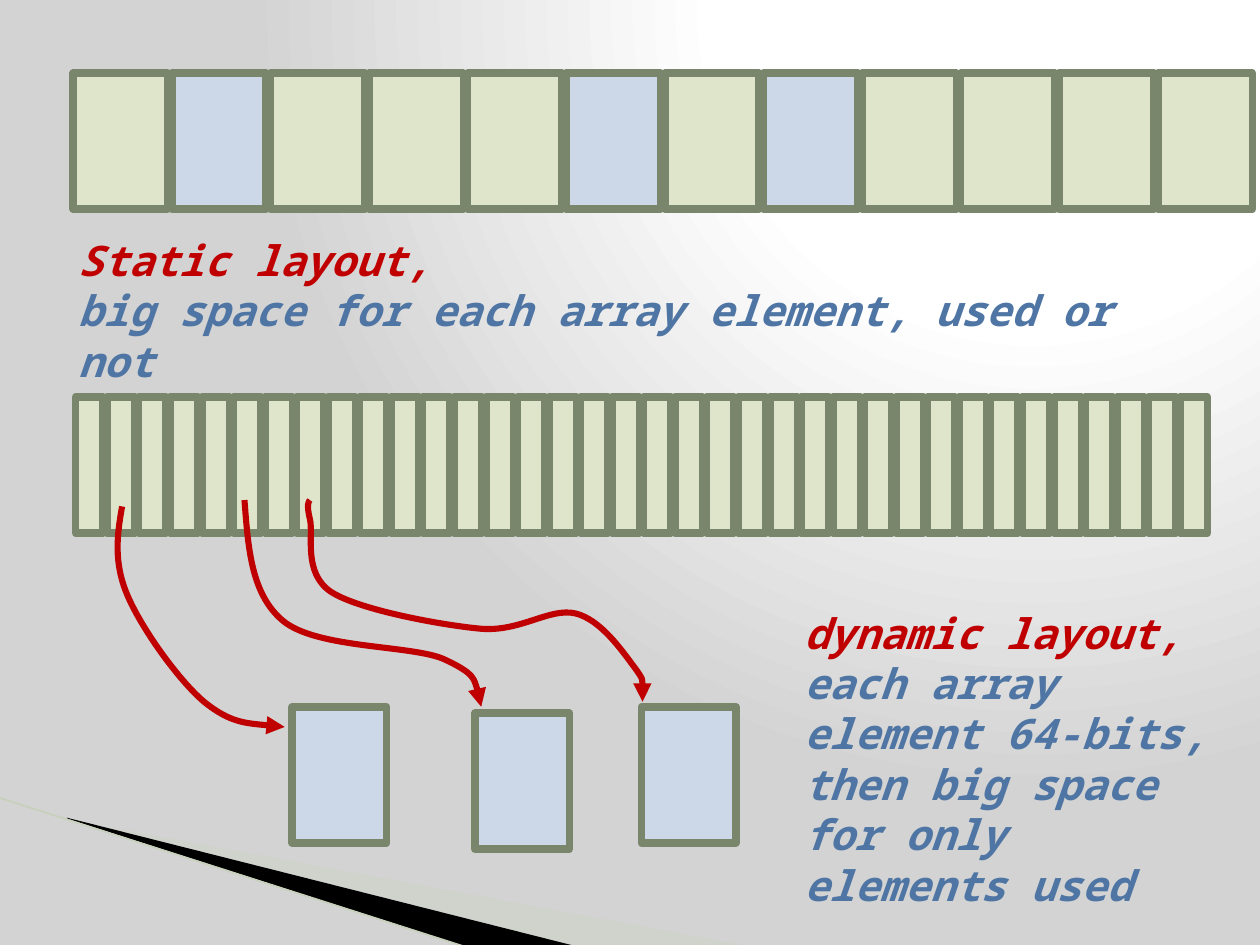
from dataclasses import dataclass

from pptx import Presentation
from pptx.dml.color import RGBColor
from pptx.enum.shapes import MSO_CONNECTOR, MSO_SHAPE
from pptx.enum.text import MSO_AUTO_SIZE
from pptx.oxml import parse_xml
from pptx.oxml.ns import nsdecls
from pptx.oxml.xmlchemy import OxmlElement
from pptx.util import Pt

RECTANGLE = MSO_SHAPE.RECTANGLE
STRAIGHT = MSO_CONNECTOR.STRAIGHT
FIT_SHAPE = MSO_AUTO_SIZE.SHAPE_TO_FIT_TEXT
BLANK_LAYOUT = 6


@dataclass(frozen=True)
class Theme:
    font: str = "Noto Sans Mono"
    text_size: float = 24
    red: str = "C00000"
    blue: str = "4E75A3"
    empty: str = "DFE5CA"
    used: str = "CCD8E7"
    border: str = "7A866C"
    wedge: str = "CBD4C0"
    black: str = "000000"
    edge: str = "C6D0BB"
    light: str = "FFFFFF"
    shade: str = "D3D3D3"
    border_width: float = 4.33
    arrow_width: float = 3.5
    edge_width: float = 0.95


class Painter:
    def __init__(self, page, theme):
        self.page = page
        self.shapes = page.shapes
        self.theme = theme

    def background(self):
        stops = [(0, self.theme.light), (40, self.theme.light), (100, self.theme.shade)]
        stop_xml = "".join(
            f'<a:gs pos="{place * 1000}"><a:srgbClr val="{color}"/></a:gs>'
            for place, color in stops)
        self.page.element.cSld.insert(0, parse_xml(
            f'<p:bg {nsdecls("p", "a")}><p:bgPr><a:gradFill><a:gsLst>{stop_xml}</a:gsLst>'
            '<a:path path="circle"><a:fillToRect l="65000" t="0" r="0" b="98000"/></a:path>'
            '</a:gradFill><a:effectLst/></p:bgPr></p:bg>'))

    def stroke(self, line, color, width):
        line.color.rgb = RGBColor.from_string(color)
        line.width = Pt(width)

    def fill(self, shape, color):
        shape.fill.solid()
        shape.fill.fore_color.rgb = RGBColor.from_string(color)

    def cell(self, left, top, width, height, color):
        cell = self.shapes.add_shape(RECTANGLE, Pt(left), Pt(top), Pt(width), Pt(height))
        cell.shadow.inherit = False
        self.fill(cell, color)
        self.stroke(cell.line, self.theme.border, self.theme.border_width)

    def outline(self, points, close):
        start, *rest = [(Pt(x), Pt(y)) for x, y in points]
        builder = self.shapes.build_freeform(*start)
        builder.add_line_segments(rest, close=close)
        shape = builder.convert_to_shape()
        shape.shadow.inherit = False
        return shape

    def polygon(self, points, color, alpha=None):
        shape = self.outline(points, close=True)
        self.fill(shape, color)
        shape.line.fill.background()
        if alpha is not None:
            opacity = OxmlElement("a:alpha")
            opacity.set("val", str(alpha * 1000))
            shape.element.xpath("./p:spPr/a:solidFill/a:srgbClr")[0].append(opacity)

    def curved_arrow(self, points):
        """Draw cubic curves: a start point, then three points per curve."""
        shape = self.outline(points, close=False)
        shape.fill.background()
        self.stroke(shape.line, self.theme.red, self.theme.arrow_width)
        head = OxmlElement("a:tailEnd")
        head.set("type", "triangle")
        shape.element.xpath("./p:spPr/a:ln")[0].append(head)
        # Join each three line segments into one curve
        route = shape.element.xpath(".//a:path")[0]
        segments = route.xpath("./a:lnTo")
        for first in range(0, len(segments), 3):
            curve = OxmlElement("a:cubicBezTo")
            for segment in segments[first:first + 3]:
                curve.append(segment[0])
                route.remove(segment)
            route.append(curve)

    def line(self, x1, y1, x2, y2, color, width):
        line = self.shapes.add_connector(STRAIGHT, Pt(x1), Pt(y1), Pt(x2), Pt(y2))
        self.stroke(line.line, color, width)
        line.element.spPr.append(OxmlElement("a:effectLst"))

    def text(self, left, top, width, height, paragraphs):
        box = self.shapes.add_textbox(Pt(left), Pt(top), Pt(width), Pt(height))
        frame = box.text_frame
        frame.word_wrap = True
        frame.auto_size = FIT_SHAPE
        for index, spans in enumerate(paragraphs):
            para = frame.add_paragraph() if index else frame.paragraphs[0]
            para.font.name = self.theme.font
            para.font.size = Pt(self.theme.text_size)
            para.font.bold = para.font.italic = True
            for words, color in spans:
                span = para.add_run()
                span.text = words
                span.font.color.rgb = RGBColor.from_string(color)


theme = Theme()
deck = Presentation()
deck.slide_width, deck.slide_height = Pt(720), Pt(540)
painter = Painter(deck.slides.add_slide(deck.slide_layouts[BLANK_LAYOUT]), theme)

# Background and corner decoration
painter.background()
painter.polygon([(39.6, 468.4), (428.4, 540.7), (328.3, 540.7), (39.6, 468)],
                theme.wedge, alpha=40)
painter.polygon([(38.2, 467.3), (329, 540.7), (267.8, 541.4), (38.9, 468)], theme.black)
painter.line(-0.7, 455.8, 267.1, 541.4, theme.edge, theme.edge_width)

# Static array: wide cells, some in use
CELL_WIDTH, CELL_HEIGHT = 54, 77.8
USED_CELLS = {1, 5, 7}
for index in range(12):
    painter.cell(41.8 + 56.35 * index, 41.8, CELL_WIDTH, CELL_HEIGHT,
                 theme.used if index in USED_CELLS else theme.empty)
painter.text(37.4, 130.3, 627.8, 65.5, [
    [("Static layout, ", theme.red)],
    [("big space for each array element, used or not", theme.blue)],
])

# Dynamic array: narrow cells
for index in range(36):
    painter.cell(43.2 + 18.03 * index, 226.8, 15.8, CELL_HEIGHT, theme.empty)

# Separately stored elements
for left, top in [(167, 403.9), (271.4, 407.5), (366.5, 403.9)]:
    painter.cell(left, top, CELL_WIDTH, CELL_HEIGHT, theme.used)

# Pointers from narrow cells to stored elements
POINTERS = [
    [(69.8, 289.4), (67, 305.3), (64.8, 321.1), (72.7, 339.8),
     (80.6, 358.6), (101.5, 388.1), (116.6, 401),
     (131.8, 413.3), (146.9, 414), (162.7, 415.4)],
    [(139.7, 285.8), (141.8, 312.5), (143.3, 339.8), (162, 355),
     (181.4, 370.8), (234.7, 368.6), (253.4, 376.6),
     (272.2, 385.2), (273.6, 394.6), (275, 403.9)],
    [(177.1, 285.8), (176.4, 286.6), (175, 288), (177.1, 296.6),
     (179.3, 305.3), (172.8, 327.6), (189.4, 338.4),
     (205.2, 348.5), (251.3, 357.1), (274.3, 359.3),
     (297.4, 361.4), (313.9, 347), (329, 350.6),
     (343.4, 354.2), (355.7, 372.2), (362.2, 380.9),
     (368.6, 389.5), (367.9, 395.3), (367.2, 401)],
]
for points in POINTERS:
    painter.curved_arrow(points)

painter.text(452.2, 343.4, 246.2, 152.6, [
    [("dynamic layout, ", theme.red), ("each array element 64-bits, ", theme.blue)],
    [("then big space for only elements used", theme.blue)],
])

deck.save("out.pptx")
